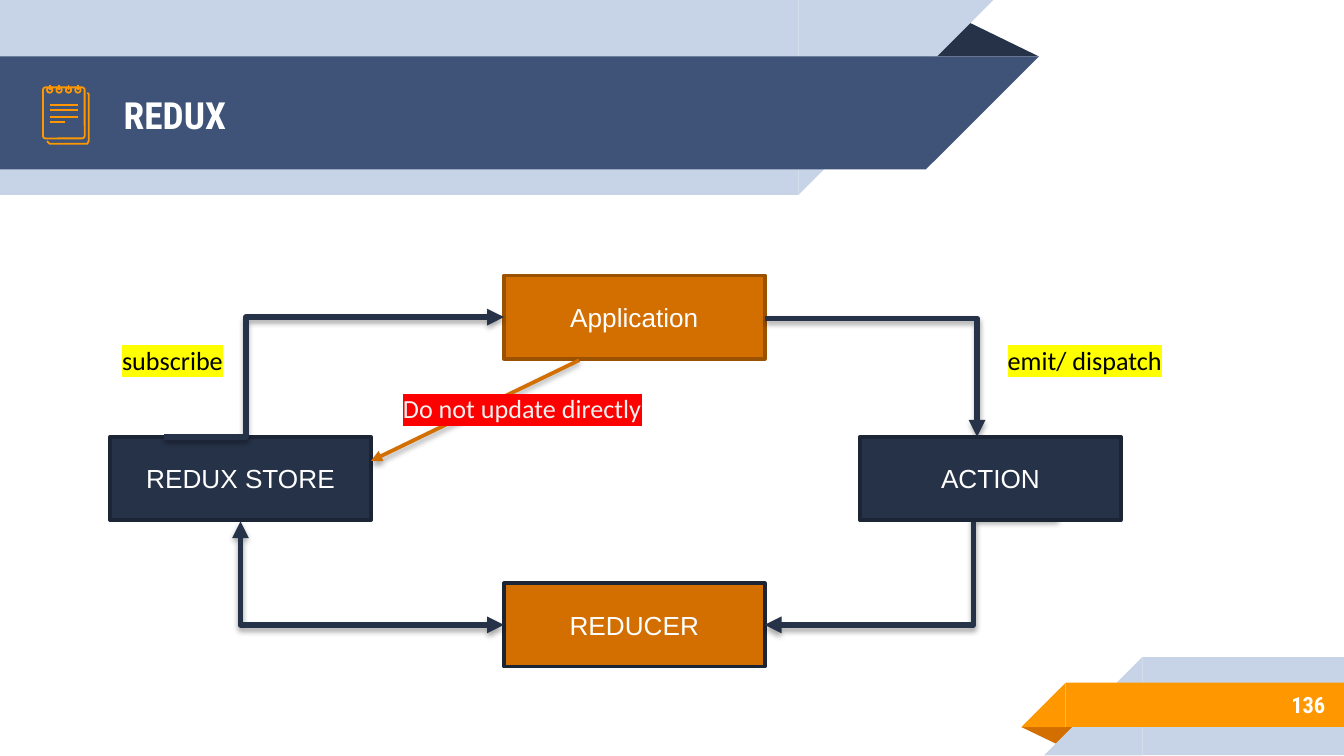
from dataclasses import dataclass

from lxml.etree import SubElement
from pptx import Presentation
from pptx.dml.color import RGBColor
from pptx.enum.shapes import MSO_CONNECTOR, MSO_SHAPE
from pptx.enum.text import MSO_ANCHOR, MSO_AUTO_SIZE, PP_ALIGN
from pptx.oxml.ns import qn
from pptx.util import Inches, Pt


@dataclass(frozen=True)
class Theme:
    navy: str = "263248"
    navy_edge: str = "1C2535"
    blue: str = "3F5378"
    pale: str = "C7D3E6"
    orange: str = "FF9800"
    rust: str = "D26F00"
    rust_edge: str = "9B5200"
    white: str = "FFFFFF"
    off_white: str = "F2F2F2"
    black: str = "000000"
    yellow: str = "FFFF00"
    red: str = "FF0000"
    heading_font: str = "Roboto Condensed"
    box_font: str = "Arial"
    label_font: str = "Calibri"
    title_size: int = 20
    text_size: int = 14
    number_size: int = 12
    icon_line: float = 0.96


theme = Theme()
prs = Presentation()
prs.slide_width = Inches(10)
prs.slide_height = prs.slide_width * 9 // 16
slide = prs.slides.add_slide(prs.slide_layouts[5])
shapes = slide.shapes


def add_block(kind, bounds, fill=None, line=None, width=2):
    block = shapes.add_shape(kind, *map(Inches, bounds))
    block.shadow.inherit = False
    if fill:
        block.fill.solid()
        block.fill.fore_color.rgb = RGBColor.from_string(fill)
    else:
        block.fill.background()
    if line:
        block.line.color.rgb = RGBColor.from_string(line)
        block.line.width = Pt(width)
    else:
        block.line.fill.background()
    return block


def add_text(frame, text, font, size, color, align=PP_ALIGN.LEFT, bold=False):
    paragraph = frame.paragraphs[0]
    paragraph.alignment = align
    run = paragraph.add_run()
    run.text = text
    run.font.name, run.font.size, run.font.bold = font, Pt(size), bold
    run.font.color.rgb = RGBColor.from_string(color)
    return run


# Title banner and footer ribbon: folds, then rectangles with slanted ends
RECT, CORNER, FOLD = MSO_SHAPE.RECTANGLE, MSO_SHAPE.RIGHT_TRIANGLE, MSO_SHAPE.ISOSCELES_TRIANGLE
for kind, bounds, fill, rotation in [
    (FOLD, (6.88, 0.14, 0.85, 0.28), theme.navy, 0),
    (RECT, (0, 0, 5.94, 1.45), theme.pale, 0),
    (CORNER, (5.94, 0, 1.45, 1.45), theme.pale, 180),
    (RECT, (0, 0.42, 6.89, 0.84), theme.blue, 0),
    (CORNER, (6.89, 0.42, 0.84, 0.84), theme.blue, 180),
    (FOLD, (7.6, 5.41, 0.43, 0.14), theme.rust, 180),
    (RECT, (8.5, 4.89, 1.5, 0.73), theme.pale, 0),
    (CORNER, (7.77, 4.89, 0.73, 0.73), theme.pale, 0),
    (RECT, (7.93, 5.08, 2.08, 0.33), theme.orange, 0),
    (CORNER, (7.6, 5.08, 0.33, 0.33), theme.orange, 0),
]:
    part = add_block(kind, bounds, fill)
    part.rotation = rotation
    if kind == FOLD:
        part.adjustments[0] = 0.324
    elif kind == CORNER:
        part._element.spPr.find(qn("a:xfrm")).set("flipH", "1")

# Title and page number
title = shapes.title
shapes._spTree.append(title._element)
page_number = shapes.add_textbox(0, 0, 0, 0)
for holder, bounds, text, size, align in [
    (title, (0.82, 0.43, 6.71, 0.84), "REDUX", theme.title_size, PP_ALIGN.LEFT),
    (page_number, (8.33, 5.07, 1.63, 0.35), "136", theme.number_size, PP_ALIGN.RIGHT),
]:
    holder.left, holder.top, holder.width, holder.height = map(Inches, bounds)
    frame = holder.text_frame
    frame.word_wrap = True
    frame.auto_size = MSO_AUTO_SIZE.NONE
    frame.vertical_anchor = MSO_ANCHOR.MIDDLE
    frame.margin_left = frame.margin_right = frame.margin_top = frame.margin_bottom = Inches(0.1)
    add_text(frame, text, theme.heading_font, size, theme.white, align, True)

# Notepad icon
back_page_points = [(0.35, 1.05), (0.37, 1.07), (0.65, 1.07), (0.66, 1.05), (0.66, 0.7), (0.65, 0.69)]
outline = [(Inches(x), Inches(y)) for x, y in back_page_points]
builder = shapes.build_freeform(*outline[0])
builder.add_line_segments(outline[1:], close=False)
back_page = builder.convert_to_shape()
back_page.shadow.inherit = False
back_page.fill.background()
back_page.line.color.rgb = RGBColor.from_string(theme.orange)
back_page.line.width = Pt(theme.icon_line)

front_page = add_block(MSO_SHAPE.ROUNDED_RECTANGLE, (0.32, 0.65, 0.31, 0.38),
                       line=theme.orange, width=theme.icon_line)
front_page.adjustments[0] = 0.06

ring_centers = [0.37 + 0.07 * i for i in range(4)]
for x in ring_centers:
    add_block(MSO_SHAPE.OVAL, (x - 0.02, 0.65, 0.04, 0.04), line=theme.orange, width=theme.icon_line)
strokes = [(x, 0.63, x, 0.67) for x in ring_centers]
strokes += [(0.37, y, end, y) for y, end in [(0.78, 0.58), (0.82, 0.58), (0.87, 0.58), (0.91, 0.48)]]
for ends in strokes:
    stroke = shapes.add_connector(MSO_CONNECTOR.STRAIGHT, *map(Inches, ends))
    stroke.line.color.rgb = RGBColor.from_string(theme.orange)
    stroke.line.width = Pt(theme.icon_line)
    SubElement(stroke._element.spPr, qn("a:effectLst"))

# Boxes of the data flow
boxes = {}
for text, x, y, fill, edge in [
    ("REDUCER", 3.75, 4.34, theme.rust, theme.navy_edge),
    ("REDUX STORE", 0.82, 3.25, theme.navy, theme.navy_edge),
    ("ACTION", 6.4, 3.25, theme.navy, theme.navy_edge),
    ("Application", 3.75, 2.05, theme.rust, theme.rust_edge),
]:
    box = boxes[text] = add_block(RECT, (x, y, 1.94, 0.62), fill, edge)
    box.text_frame.vertical_anchor = MSO_ANCHOR.MIDDLE
    add_text(box.text_frame, text, theme.box_font, theme.text_size, theme.white, PP_ALIGN.CENTER)

# Arrows: ends, preset, bend position, colour, width, arrowheads
for ends, preset, bend, color, width, heads in [
    ((4.31, 2.68, 2.76, 3.43), "line", None, theme.rust, 2, ["tailEnd"]),
    ((5.69, 2.37, 7.27, 3.25), "bentConnector2", None, theme.navy, 3, ["tailEnd"]),
    ((7.87, 3.85, 5.69, 4.65), "bentConnector3", 28800, theme.navy, 3, ["tailEnd"]),
    ((1.22, 3.25, 3.75, 2.36), "bentConnector3", 24100, theme.navy, 3, ["tailEnd"]),
    ((3.75, 4.65, 1.79, 3.88), "bentConnector2", None, theme.navy, 3, ["headEnd", "tailEnd"]),
]:
    arrow = shapes.add_connector(MSO_CONNECTOR.ELBOW, *map(Inches, ends))
    arrow.line.color.rgb = RGBColor.from_string(color)
    arrow.line.width = Pt(width)
    properties = arrow._element.spPr
    geometry = properties.find(qn("a:prstGeom"))
    geometry.set("prst", preset)
    if bend:
        SubElement(geometry.find(qn("a:avLst")), qn("a:gd"), name="adj1", fmla=f"val {bend}")
    for head in heads:
        SubElement(properties.find(qn("a:ln")), qn(f"a:{head}"), type="triangle")
    shadow = SubElement(SubElement(properties, qn("a:effectLst")), qn("a:outerShdw"),
                        blurRad=str(Pt(3.1)), dist=str(Pt(1.8)), dir="5400000", rotWithShape="0")
    shade = SubElement(shadow, qn("a:srgbClr"), val=theme.black)
    SubElement(shade, qn("a:alpha"), val="35000")

# The action box covers the start of its outgoing arrow
shapes._spTree.append(boxes["ACTION"]._element)

# Highlighted labels
for text, x, y, width, color, marker in [
    ("subscribe", 0.81, 2.51, 1.74, theme.black, theme.yellow),
    ("emit/ dispatch", 7.4, 2.51, 1.74, theme.black, theme.yellow),
    ("Do not update directly", 2.9, 2.87, 2.27, theme.off_white, theme.red),
]:
    label = shapes.add_textbox(Inches(x), Inches(y), Inches(width), Inches(0.34))
    label.text_frame.word_wrap = True
    label.text_frame.auto_size = MSO_AUTO_SIZE.SHAPE_TO_FIT_TEXT
    run = add_text(label.text_frame, text, theme.label_font, theme.text_size, color)
    run_properties = run._r.get_or_add_rPr()
    highlight = SubElement(run_properties, qn("a:highlight"))
    SubElement(highlight, qn("a:srgbClr"), val=marker)
    run_properties.find(qn("a:solidFill")).addnext(highlight)

prs.save("out.pptx")
